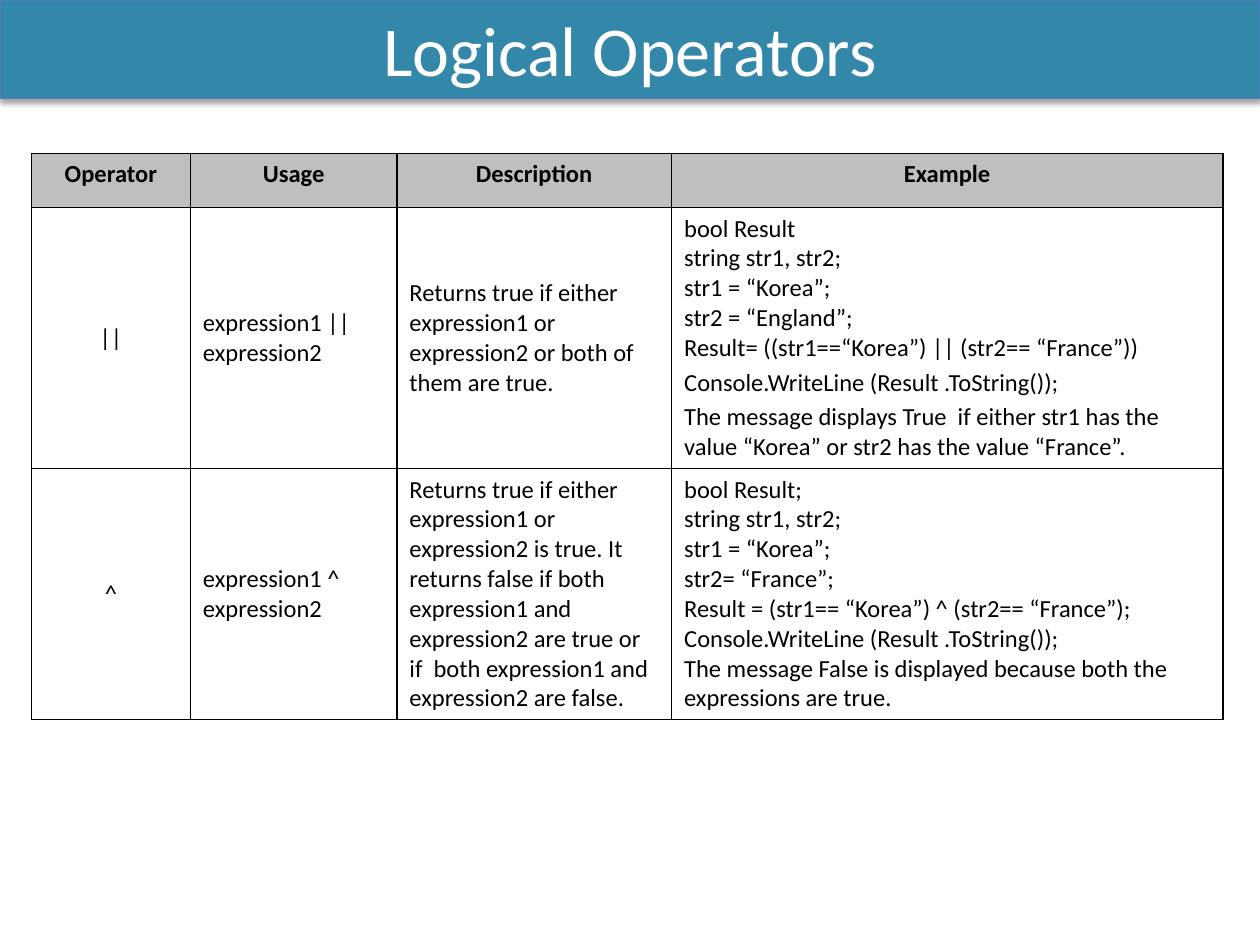
import pptx
import pptx.dml.color
import pptx.enum.shapes
import pptx.enum.text
import pptx.oxml
import pptx.oxml.ns
import pptx.util

Pt = pptx.util.Pt
ALIGN = pptx.enum.text.PP_ALIGN
ANCHOR = pptx.enum.text.MSO_ANCHOR
FONT = "Calibri"
COLORS = {
    "banner": "3388A9",
    "edge": "4B7EBC",
    "head": "BFBFBF",
    "ink": "000000",
    "white": "FFFFFF",
}
WIDTHS = [90.8, 118, 157, 315]
HEIGHTS = [31, 134.6, 129.6]
HEADS = ["Operator", "Usage", "Description", "Example"]
ROWS = [
    [
        ["||"],
        ["expression1 || expression2"],
        ["Returns true if either expression1 or expression2 or both of them are true."],
        [
            "bool Result",
            "string str1, str2;",
            "str1 = “Korea”;",
            "str2 = “England”;",
            "Result= ((str1==“Korea”) || (str2== “France”))",
            "Console.WriteLine (Result .ToString());",
            "The message displays True  if either str1 has the  value “Korea” "
            "or str2 has the value “France”.",
        ],
    ],
    [
        ["^"],
        ["expression1 ^ expression2"],
        ["Returns true if either expression1 or expression2 is true. It returns false "
         "if both expression1 and expression2 are true or if  both expression1 and "
         "expression2 are false."],
        [
            "bool Result;",
            "string str1, str2;",
            "str1 = “Korea”;",
            "str2= “France”;",
            "Result = (str1== “Korea”) ^ (str2== “France”);",
            "Console.WriteLine (Result .ToString());",
            "The message False is displayed because both the expressions are true.",
        ],
    ],
]
# Example lines set off by extra space: (table row, line) pairs
SPACED = {(1, 5), (1, 6)}


def color(name):
    return pptx.dml.color.RGBColor.from_string(COLORS[name])


def parse(xml):
    return pptx.oxml.parse_xml(xml.replace(">", f" {pptx.oxml.ns.nsdecls('a')}>", 1))


def write(para, text, size, ink, bold=False, align=ALIGN.LEFT):
    para.alignment = align
    run = para.add_run()
    run.text = text
    font = run.font
    font.name, font.size, font.bold = FONT, Pt(size), bold
    font.color.rgb = color(ink)


def frame(cell):
    """Draw a 1 pt line on all four sides of a cell."""
    props = cell._tc.get_or_add_tcPr()
    for side in "LRTB":
        props.append(parse(
            f'<a:ln{side} w="{Pt(1)}"><a:solidFill><a:srgbClr val="{COLORS["ink"]}"/>'
            f'</a:solidFill></a:ln{side}>'))


def fill_cell(cell, lines, head=False, center=False, spaced=()):
    frame(cell)
    if head:
        cell.fill.solid()
        cell.fill.fore_color.rgb = color("head")
    else:
        cell.fill.background()
    cell.vertical_anchor = ANCHOR.TOP if head else ANCHOR.MIDDLE
    text = cell.text_frame
    for i, line in enumerate(lines):
        para = text.add_paragraph() if i else text.paragraphs[0]
        if i in spaced:
            para.space_before = Pt(2.8)
        write(para, line, 14, "ink", head, ALIGN.CENTER if center else ALIGN.LEFT)


def add_grid(slide):
    grid = slide.shapes.add_table(
        len(HEIGHTS), len(WIDTHS), Pt(18), Pt(87.6),
        Pt(sum(WIDTHS)), Pt(sum(HEIGHTS))).table
    grid.first_row = grid.horz_banding = False
    for col, width in zip(grid.columns, WIDTHS):
        col.width = Pt(width)
    for row, height in zip(grid.rows, HEIGHTS):
        row.height = Pt(height)
    for c, head in enumerate(HEADS):
        fill_cell(grid.cell(0, c), [head], head=True, center=True)
    for r, row in enumerate(ROWS, 1):
        for c, lines in enumerate(row):
            spaced = [i for n, i in SPACED if n == r]
            fill_cell(grid.cell(r, c), lines, center=c == 0, spaced=spaced)


def add_banner(slide, title):
    bar = slide.shapes.add_shape(
        pptx.enum.shapes.MSO_SHAPE.RECTANGLE, 0, 0, Pt(720), Pt(56))
    bar.fill.solid()
    bar.fill.fore_color.rgb = color("banner")
    bar.line.color.rgb = color("edge")
    bar.line.width = Pt(0.75)
    bar.shadow.inherit = False
    effects = bar._element.spPr.find(pptx.oxml.ns.qn("a:effectLst"))
    effects.append(parse(
        f'<a:outerShdw blurRad="{Pt(3.1)}" dist="{Pt(1.8)}" dir="5400000" '
        f'rotWithShape="0"><a:srgbClr val="{COLORS["ink"]}"><a:alpha val="35000"/>'
        '</a:srgbClr></a:outerShdw>'))
    text = bar.text_frame
    text.word_wrap = True
    text.vertical_anchor = ANCHOR.MIDDLE
    write(text.paragraphs[0], title, 40, "white", align=ALIGN.CENTER)


def main():
    deck = pptx.Presentation()
    deck.slide_width, deck.slide_height = Pt(720), Pt(540)
    slide = deck.slides.add_slide(deck.slide_layouts[6])
    add_grid(slide)
    add_banner(slide, "Logical Operators")
    deck.save("out.pptx")


if __name__ == "__main__":
    main()
